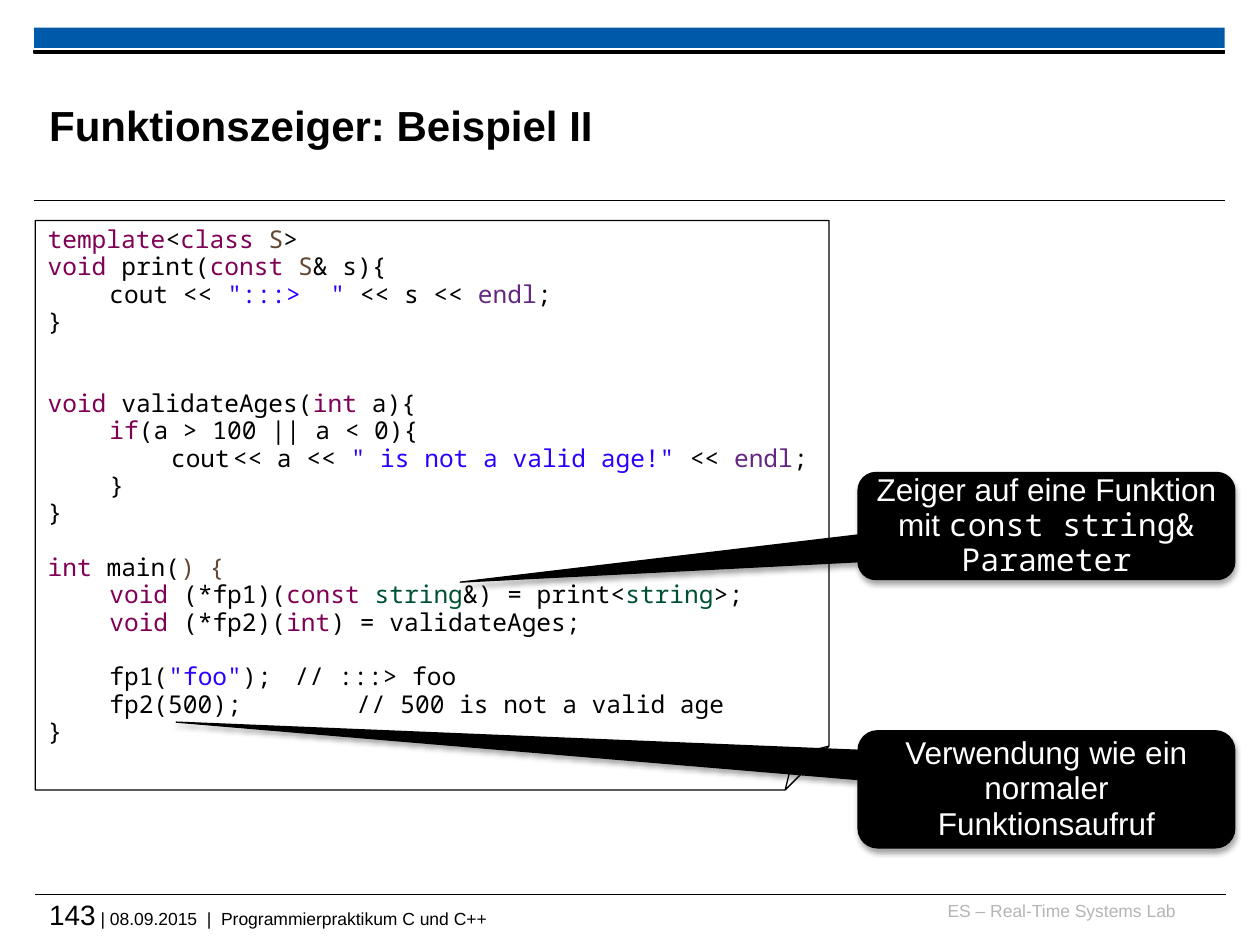
from dataclasses import dataclass

from lxml import etree
from pptx import Presentation
from pptx.dml.color import RGBColor
from pptx.enum import shapes, text
from pptx.oxml import ns
from pptx.util import Inches, Pt


@dataclass(frozen=True)
class Theme:
    sans: str = "Arial"
    mono: str = "Noto Sans Mono"
    black: str = "000000"
    white: str = "FFFFFF"
    blue: str = "005AA9"
    grey: str = "B5B5B5"
    keyword: str = "7F0055"
    variable: str = "644632"
    literal: str = "2A00FF"
    manipulator: str = "642880"
    type_name: str = "005032"
    title_size: int = 24
    callout_size: int = 18
    number_size: int = 16
    code_size: int = 14
    footer_size: int = 10
    line_spacing: float = 0.93
    code_line: float = 15.6


theme = Theme()


def add_run(paragraph, words, size, color, font=theme.sans, bold=False):
    run = paragraph.add_run()
    run.text = words
    run.font.name = font
    run.font.size = Pt(size)
    run.font.bold = bold
    run.font.color.rgb = RGBColor.from_string(color)


def add_box(kind, left, top, width, height, fill=None, line=None):
    shape = slide.shapes.add_shape(
        kind, Inches(left), Inches(top), Inches(width), Inches(height))
    shape.shadow.inherit = False
    if fill:
        shape.fill.solid()
        shape.fill.fore_color.rgb = RGBColor.from_string(fill)
    else:
        shape.fill.background()
    if line:
        shape.line.color.rgb = RGBColor.from_string(line)
        shape.line.width = Pt(0.75)
    else:
        shape.line.fill.background()
    return shape


presentation = Presentation()
presentation.slide_width = Inches(10)
presentation.slide_height = Inches(7.5)
slide = presentation.slides.add_slide(presentation.slide_layouts[5])

add_box(shapes.MSO_SHAPE.RECTANGLE, 0.27, 0.22, 9.45, 0.16, theme.blue)
add_box(shapes.MSO_SHAPE.RECTANGLE, 0.27, 0.4, 9.45, 0.02, theme.black, theme.black)
for left, top in [(0.27, 1.59), (0.28, 7.1)]:
    rule = slide.shapes.add_connector(
        shapes.MSO_CONNECTOR.STRAIGHT,
        Inches(left), Inches(top), Inches(left + 9.45), Inches(top))
    rule.line.color.rgb = RGBColor.from_string(theme.black)
    rule.line.width = Pt(0.6)
    etree.SubElement(rule._element.spPr, ns.qn("a:effectLst"))

title = slide.shapes.title
title.left, title.top = Inches(0.39), Inches(0.53)
title.width, title.height = Inches(7.52), Inches(0.92)
lab = slide.shapes.add_textbox(Inches(7.36), Inches(7.14), Inches(1.97), Inches(0.25))
footer = slide.shapes.add_textbox(Inches(0.39), Inches(7.12), Inches(9.33), Inches(0.33))
labels = [
    (title, text.PP_ALIGN.LEFT, text.MSO_ANCHOR.MIDDLE,
     [("Funktionszeiger: Beispiel II", theme.title_size, theme.black)]),
    (lab, text.PP_ALIGN.RIGHT, text.MSO_ANCHOR.TOP,
     [("ES – Real-Time Systems Lab", theme.footer_size, theme.grey)]),
    (footer, text.PP_ALIGN.LEFT, text.MSO_ANCHOR.TOP,
     [("143", theme.number_size, theme.black),
      (" | 08.09.2015  |  Programmierpraktikum C und C++", theme.footer_size, theme.black)]),
]
for shape, alignment, anchor, runs in labels:
    frame = shape.text_frame
    frame.word_wrap = True
    frame.vertical_anchor = anchor
    frame.margin_left = frame.margin_right = frame.margin_top = frame.margin_bottom = 0
    paragraph = frame.paragraphs[0]
    paragraph.alignment = alignment
    for words, size, color in runs:
        add_run(paragraph, words, size, color, bold=shape is title)

plain, keyword, variable = theme.black, theme.keyword, theme.variable
literal, manipulator, type_name = theme.literal, theme.manipulator, theme.type_name
code = [
    (0, [("template", keyword), ("<", plain), ("class ", keyword), ("S", variable), (">", plain)]),
    (0, [("void ", keyword), ("print(", plain), ("const ", keyword), ("S", variable),
         ("& s){", plain)]),
    (0, [("\tcout << ", plain), ('":::>  "', literal), (" << s << ", plain),
         ("endl", manipulator), (";", plain)]),
    (0, [("}", plain)]),
    (2, [("void ", keyword), ("validateAges(", plain), ("int", keyword), (" a){", plain)]),
    (0, [("\tif", keyword), ("(a > 100 || a < 0){", plain)]),
    (0, [("\t\tcout\t<< a << ", plain), ('" is not a valid age!"', literal), (" << ", plain),
         ("endl", manipulator), (";", plain)]),
    (0, [("\t}", plain)]),
    (0, [("}", plain)]),
    (1, [("int", keyword), (" main(", plain), (") {", variable)]),
    (0, [("\tvoid ", keyword), ("(*fp1)(", plain), ("const ", keyword), ("string", type_name),
         ("&) = print<", plain), ("string", type_name), (">;", plain)]),
    (0, [("\tvoid ", keyword), ("(*fp2)(", plain), ("int", keyword),
         (") = validateAges;", plain)]),
    (1, [("\tfp1(", plain), ('"foo"', literal), (");\t// :::> foo", plain)]),
    (0, [("\tfp2(500);\t\t// 500 is not a valid age", plain)]),
    (0, [("}", plain)]),
]
code_sheet = add_box(shapes.MSO_SHAPE.FOLDED_CORNER, 0.28, 1.75, 6.3, 4.52, line=theme.black)
geometry = code_sheet._element.spPr.find(ns.qn("a:prstGeom"))
fold = geometry.find(ns.qn("a:avLst"))
if fold is None:
    fold = etree.SubElement(geometry, ns.qn("a:avLst"))
etree.SubElement(fold, ns.qn("a:gd"), name="adj", fmla="val 7700")
frame = code_sheet.text_frame
frame.word_wrap = True
frame.vertical_anchor = text.MSO_ANCHOR.TOP
for index, (gap, runs) in enumerate(code):
    paragraph = frame.add_paragraph() if index else frame.paragraphs[0]
    paragraph.alignment = text.PP_ALIGN.LEFT
    paragraph.line_spacing = theme.line_spacing
    if gap:
        paragraph.space_before = Pt(gap * theme.code_line)
    tabs = etree.SubElement(paragraph._p.get_or_add_pPr(), ns.qn("a:tabLst"))
    for stop in range(1, 6):
        etree.SubElement(tabs, ns.qn("a:tab"), pos=str(Inches(0.49 * stop)), algn="l")
    for words, color in runs:
        add_run(paragraph, words, theme.code_size, color, theme.mono)

callouts = [
    (3.75, 0.85, (-1.556, 0.524, 0.167),
     [("Zeiger auf eine Funktion mit ", theme.sans), ("const string& Parameter", theme.mono)]),
    (5.8, 0.93, (-2.31, -0.574, 0.167),
     [("Verwendung wie ein normaler Funktionsaufruf", theme.sans)]),
]
for top, height, adjustments, runs in callouts:
    callout = add_box(shapes.MSO_SHAPE.ROUNDED_RECTANGULAR_CALLOUT,
                      6.81, top, 2.99, height, theme.black, theme.black)
    for index, value in enumerate(adjustments):
        callout.adjustments[index] = value
    effects = callout._element.spPr.find(ns.qn("a:effectLst"))
    shadow = etree.SubElement(effects, ns.qn("a:outerShdw"), blurRad=str(Pt(3.1)),
                              dist=str(Pt(1.8)), dir="5400000", rotWithShape="0")
    shade = etree.SubElement(shadow, ns.qn("a:srgbClr"), val=theme.black)
    etree.SubElement(shade, ns.qn("a:alpha"), val="35000")
    frame = callout.text_frame
    frame.word_wrap = True
    frame.vertical_anchor = text.MSO_ANCHOR.MIDDLE
    paragraph = frame.paragraphs[0]
    paragraph.alignment = text.PP_ALIGN.CENTER
    paragraph.line_spacing = theme.line_spacing
    for words, font in runs:
        add_run(paragraph, words, theme.callout_size, theme.white, font)

presentation.save("out.pptx")
